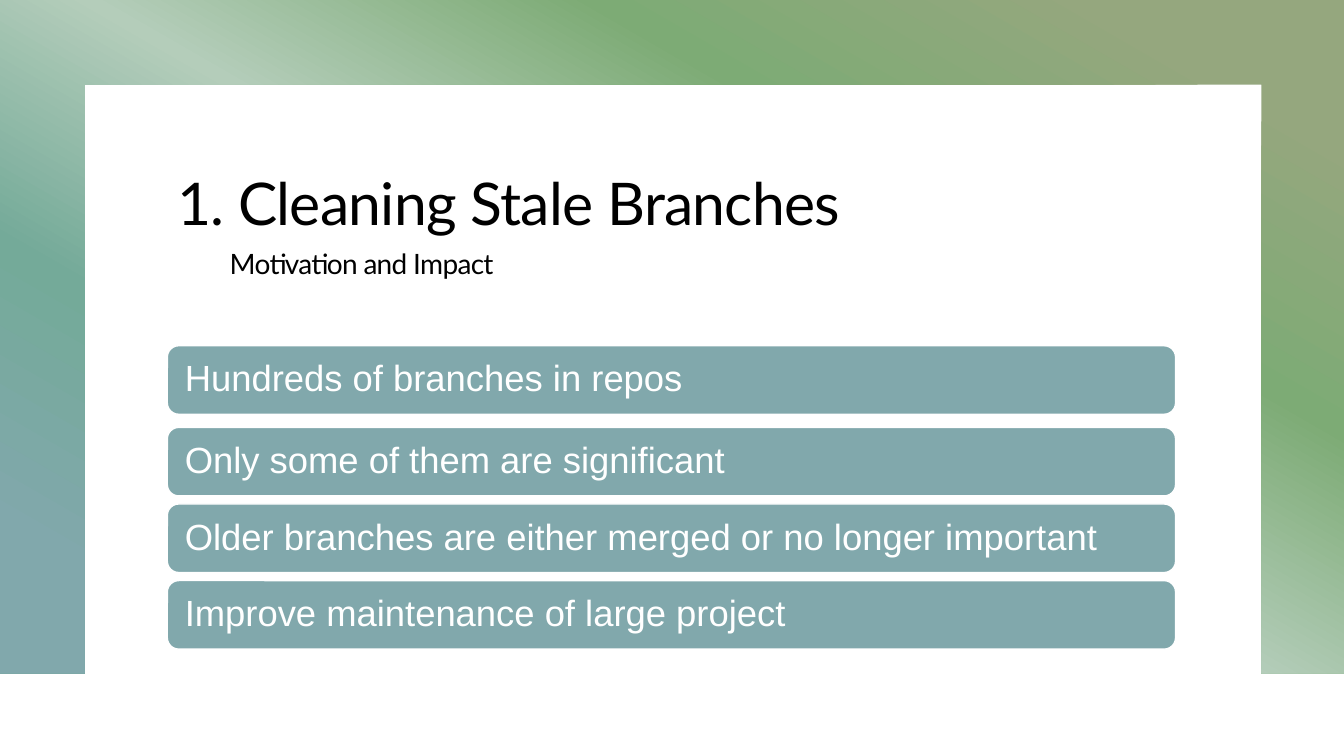
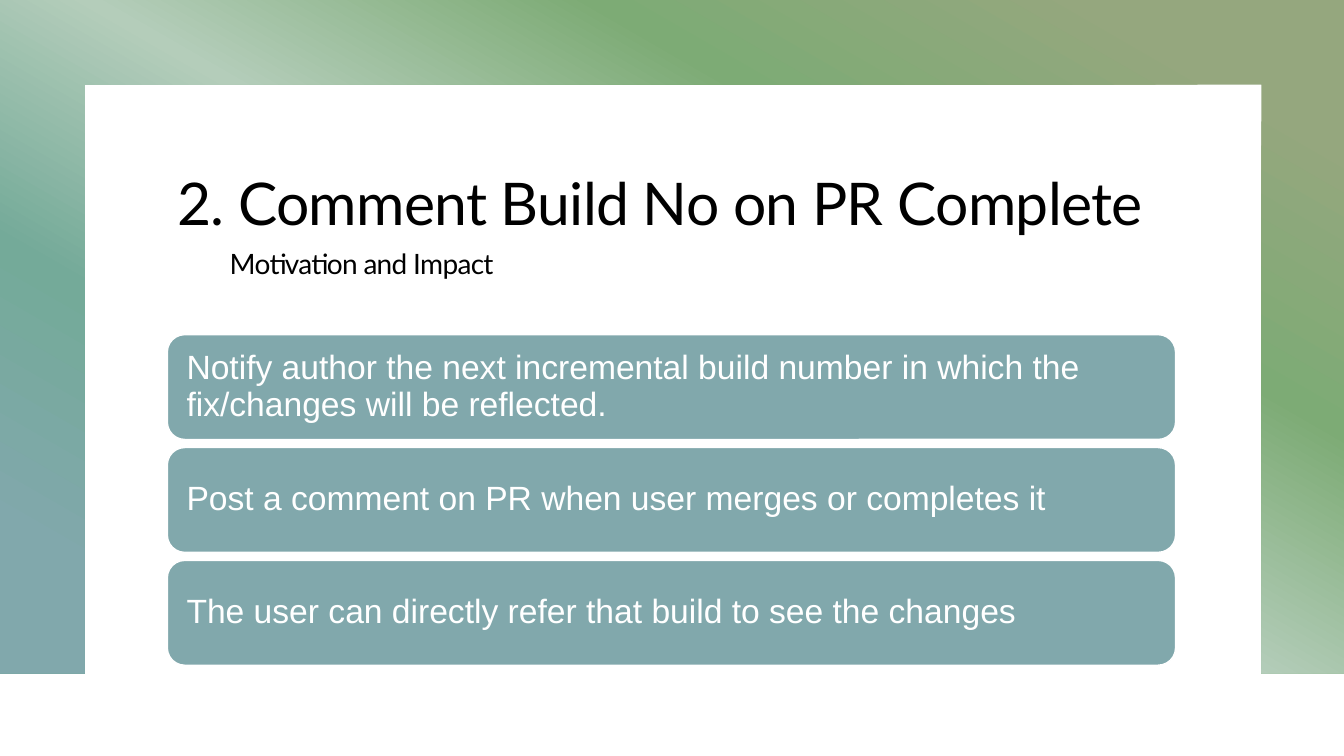
"""Build two slides on the motivation and impact of repository automation."""
from pptx import Presentation
from pptx.dml.color import RGBColor
from pptx.enum import shapes, text
from pptx.oxml import ns, xmlchemy
from pptx.util import Inches, Pt

SLIDES = [
    {
        "title": "1. Cleaning Stale Branches",
        "points": [
            "Hundreds of branches in repos",
            "Only some of them are significant",
            "Older branches are either merged or no longer important",
            "Improve maintenance of large project",
        ],
        "top": 3.48, "bar_height": 0.68, "first_lift": 0.05, "size": 26,
    },
    {
        "title": "2. Comment Build No on PR Complete",
        "points": [
            "Notify author the next incremental build number in which the "
            "fix/changes will be reflected.",
            "Post a comment on PR when user merges or completes it",
            "The user can directly refer that build to see the changes",
        ],
        "top": 3.32, "bar_height": 1.04, "first_lift": 0, "size": 24,
    },
]
SUBTITLE = "Motivation and Impact"
COLORS = {"ink": "000000", "paper": "FFFFFF", "bar": "81A8AC"}
FRAME_STOPS = [(10, "95A77E"), (30, "7DAB75"), (50, "B4CDBA"),
               (70, "74AA99"), (90, "81A8AC")]
FRAME_OUTLINE = [(0, 0), (13.33, 0), (13.33, 6.68), (12.51, 6.68),
                 (12.51, 0.84), (0.84, 0.84), (0.84, 6.68), (0, 6.68)]
LEFT, BAR_WIDTH, BAR_GAP = 1.66, 10, 0.08


def write(shape, words, *, size, font="Lato", color="ink", line_spacing=None,
          tracking=None, anchor=text.MSO_ANCHOR.TOP, inset=0.1):
    frame = shape.text_frame
    frame.word_wrap = True
    frame.vertical_anchor = anchor
    frame.margin_left = frame.margin_right = Inches(inset)
    paragraph = frame.paragraphs[0]
    paragraph.alignment = text.PP_ALIGN.LEFT
    if line_spacing:
        paragraph.line_spacing = line_spacing
    run = paragraph.add_run()
    run.text = words
    run.font.name = font
    run.font.size = Pt(size)
    run.font.color.rgb = RGBColor.from_string(COLORS[color])
    if tracking:
        run.font._element.set("spc", str(round(tracking * 100)))


def add_label(slide, box, words, **style):
    write(slide.shapes.add_textbox(*map(Inches, box)), words, tracking=-0.5, **style)


def add_frame(slide):
    start, *corners = [(Inches(x), Inches(y)) for x, y in FRAME_OUTLINE]
    builder = slide.shapes.build_freeform(*start)
    builder.add_line_segments(corners, close=True)
    frame = builder.convert_to_shape()
    frame.shadow.inherit = False
    frame.line.fill.background()
    frame.fill.gradient()
    frame.fill.gradient_angle = 240
    stops = frame._element.spPr.find(".//" + ns.qn("a:gsLst"))
    stops.clear()
    for position, color in FRAME_STOPS:
        stop = xmlchemy.OxmlElement("a:gs")
        stop.set("pos", str(position * 1000))
        swatch = xmlchemy.OxmlElement("a:srgbClr")
        swatch.set("val", color)
        stop.append(swatch)
        stops.append(stop)


def add_bars(slide, content):
    height = content["bar_height"]
    for index, point in enumerate(content["points"]):
        top = content["top"] + index * (height + BAR_GAP)
        if index == 0:
            top -= content["first_lift"]
        bar = slide.shapes.add_shape(
            shapes.MSO_SHAPE.ROUNDED_RECTANGLE,
            *map(Inches, (LEFT, top, BAR_WIDTH, height)))
        bar.shadow.inherit = False
        bar.fill.solid()
        bar.fill.fore_color.rgb = RGBColor.from_string(COLORS["bar"])
        bar.line.color.rgb = RGBColor.from_string(COLORS["paper"])
        bar.line.width = Pt(1)
        write(bar, point, size=content["size"], font="Arial", color="paper",
              line_spacing=0.9, anchor=text.MSO_ANCHOR.MIDDLE, inset=0.14)


def main():
    deck = Presentation()
    deck.slide_width, deck.slide_height = Inches(13.33), Inches(7.5)
    for content in SLIDES:
        slide = deck.slides.add_slide(deck.slide_layouts[6])
        add_frame(slide)
        add_label(slide, (LEFT, 1.66, 10.16, 1.47), content["title"],
                  size=42, line_spacing=0.95)
        add_bars(slide, content)
        add_label(slide, (2.18, 2.4, 9.31, 0.44), SUBTITLE, size=20)
    deck.save("out.pptx")


if __name__ == "__main__":
    main()
